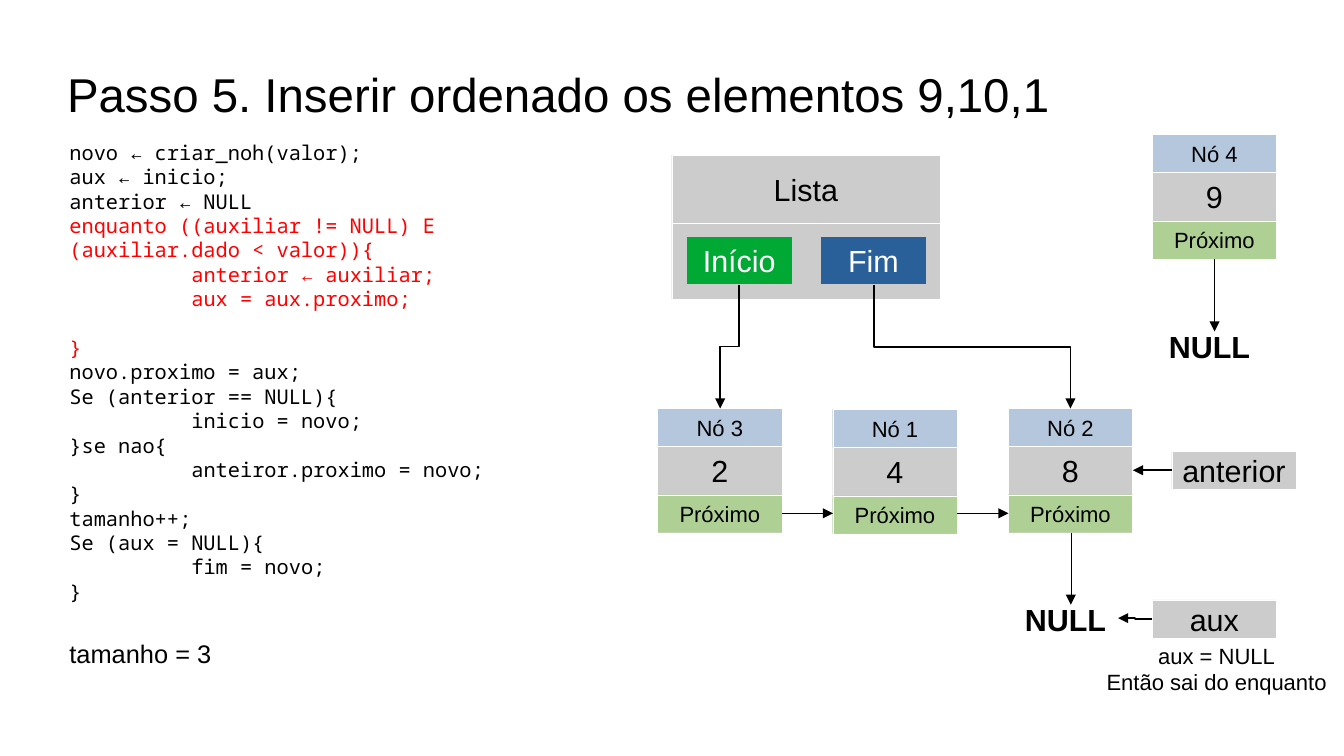
from pptx import Presentation
from pptx.dml.color import RGBColor
from pptx.enum.shapes import MSO_CONNECTOR, MSO_SHAPE
from pptx.enum.text import MSO_ANCHOR, PP_ALIGN
from pptx.oxml.ns import qn
from pptx.util import Pt
from lxml import etree

RECT = MSO_SHAPE.RECTANGLE
LINE, ELBOW = MSO_CONNECTOR.STRAIGHT, MSO_CONNECTOR.ELBOW
TOP, MID = MSO_ANCHOR.TOP, MSO_ANCHOR.MIDDLE
LEFT, MIDDLE = PP_ALIGN.LEFT, PP_ALIGN.CENTER
HAIR = 0.1

THEME = {
    "sans": "Arial", "mono": "Noto Sans Mono",
    "black": "000000", "white": "FFFFFF", "red": "FF0000", "grey": "CCCCCC",
    "green": "00A933", "blue": "2A6099", "sky": "B4C7DC", "leaf": "AFD095",
    "title": 28, "big": 18, "note": 15, "small": 13, "code": 12,
}

deck = Presentation()
deck.slide_width, deck.slide_height = Pt(793.5), Pt(446.4)
slide = deck.slides.add_slide(deck.slide_layouts[6])
shapes = slide.shapes


def write(shape, lines, size, color="black", font="sans", bold=False,
          align=LEFT, anchor=TOP, wrap=False):
    """Fill a shape with one paragraph per line and return its frame."""
    frame = shape.text_frame
    frame.word_wrap = wrap
    frame.vertical_anchor = anchor
    for i, line in enumerate(lines):
        para = frame.paragraphs[0] if i == 0 else frame.add_paragraph()
        para.alignment = align
        run = para.add_run()
        run.text = line
        run.font.name = THEME[font]
        run.font.size = Pt(THEME[size])
        run.font.bold = bold
        run.font.color.rgb = RGBColor.from_string(THEME[color])
    return frame


def block(x, y, w, h, fill, text="", size="big", color="black", edge="white"):
    """Draw a filled box with a centred label."""
    box = shapes.add_shape(RECT, Pt(x), Pt(y), Pt(w), Pt(h))
    box.shadow.inherit = False
    box.fill.solid()
    box.fill.fore_color.rgb = RGBColor.from_string(THEME[fill])
    box.line.color.rgb = RGBColor.from_string(THEME[edge])
    box.line.width = Pt(HAIR)
    if text:
        write(box, [text], size, color, align=MIDDLE, anchor=MID)


# Title
head = shapes.add_textbox(Pt(39.6), Pt(18), Pt(714.2), Pt(74.9))
frame = write(head, ["Passo 5. Inserir ordenado os elementos 9,10,1"],
              "title", anchor=MID, wrap=True)
frame.margin_left = frame.margin_right = 0
frame.margin_top = frame.margin_bottom = 0

# Code, with the loop in red and tab stops at one inch
code = [
    "novo ← criar_noh(valor);",
    "aux ← inicio;",
    "anterior ← NULL",
    "enquanto ((auxiliar != NULL) E (auxiliar.dado < valor)){",
    "\tanterior ← auxiliar;",
    "\taux = aux.proximo;",
    "}",
    "novo.proximo = aux;",
    "Se (anterior == NULL){",
    "\tinicio = novo;",
    "}se nao{",
    "\tanteiror.proximo = novo;",
    "}",
    "tamanho++;",
    "Se (aux = NULL){",
    "\tfim = novo;",
    "}",
]
area = shapes.add_textbox(Pt(33.9), Pt(79.2), Pt(260.6), Pt(295.2))
frame = write(area, code, "code", font="mono", wrap=True)
for para in frame.paragraphs[3:7]:
    para.runs[0].font.color.rgb = RGBColor.from_string(THEME["red"])
frame.paragraphs[6].space_before = Pt(14.4)
for line, para in zip(code, frame.paragraphs):
    if line.startswith("\t"):
        tabs = etree.SubElement(para._p.get_or_add_pPr(), qn("a:tabLst"))
        etree.SubElement(tabs, qn("a:tab"), pos=str(Pt(72)), algn="l")

# List header with its two pointers
block(396.6, 91.6, 158.4, 40, "grey", "Lista")
block(396.6, 131.6, 158.4, 45, "grey")
block(405.2, 139.7, 62.6, 28.4, "green", "Início", color="white", edge="grey")
block(484.4, 139.7, 62.6, 28.4, "blue", "Fim", color="white", edge="grey")

# Nodes
nodes = [
    (491.6, 241.7, "Nó 1", "4"),
    (595.2, 241.1, "Nó 2", "8"),
    (388.2, 241.1, "Nó 3", "2"),
    (680.2, 79.4, "Nó 4", "9"),
]
side, band = 73.5, 22.5
for x, y, name, value in nodes:
    block(x, y, side, side, "grey", value)
    block(x, y, side, band, "sky", name, "small")
    block(x, y + side - band, side, band, "leaf", "Próximo", "small")

# Variable tags
block(680.2, 354.2, side, band, "grey", "aux")
block(691.8, 266.4, side, band, "grey", "anterior")

# Loose labels
labels = [
    (33.9, 373, 110, 23.8, ["tamanho = 3"], "note", False, LEFT),
    (598, 351.2, 76, 27.4, ["NULL"], "big", True, LEFT),
    (683, 189.9, 76, 27.4, ["NULL"], "big", True, LEFT),
    (641.2, 375.8, 154, 36, ["aux = NULL", "Então sai do enquanto"],
     "small", False, MIDDLE),
]
for x, y, w, h, lines, size, bold, align in labels:
    box = shapes.add_textbox(Pt(x), Pt(y), Pt(w), Pt(h))
    write(box, lines, size, bold=bold, align=align)

# Arrows: kind, start, end, width, whether the elbow leaves downwards
arrows = [
    (LINE, 461.9, 303.1, 491.8, 303.1, HAIR, False),
    (LINE, 565.3, 303.1, 595.4, 303.1, HAIR, False),
    (LINE, 632.2, 314.9, 632.2, 357.1, HAIR, False),
    (LINE, 717.1, 153.2, 717.1, 195.8, HAIR, False),
    (LINE, 692, 277.7, 668.9, 277.7, 1, False),
    (ELBOW, 680.4, 365.6, 660.2, 365, 1, False),
    (ELBOW, 436.4, 168.3, 425.2, 241.2, 1, True),
    (ELBOW, 516, 168.3, 632, 241.2, 1, True),
]
for kind, x1, y1, x2, y2, width, down in arrows:
    if down:
        # Ends before the quarter turn about the centre
        mx, my, dx, dy = (x1 + x2) / 2, (y1 + y2) / 2, x2 - x1, y2 - y1
        turn = 1 if dx < 0 else -1
        x1, y1 = mx - turn * dy / 2, my + turn * dx / 2
        x2, y2 = 2 * mx - x1, 2 * my - y1
    wire = shapes.add_connector(kind, Pt(x1), Pt(y1), Pt(x2), Pt(y2))
    wire.line.color.rgb = RGBColor.from_string(THEME["black"])
    wire.line.width = Pt(width)
    props = wire._element.spPr
    if down:
        props.find(qn("a:xfrm")).set("rot", str(turn * 90 % 360 * 60000))
    etree.SubElement(props.find(qn("a:ln")), qn("a:tailEnd"), type="triangle")
    etree.SubElement(props, qn("a:effectLst"))

deck.save("out.pptx")
